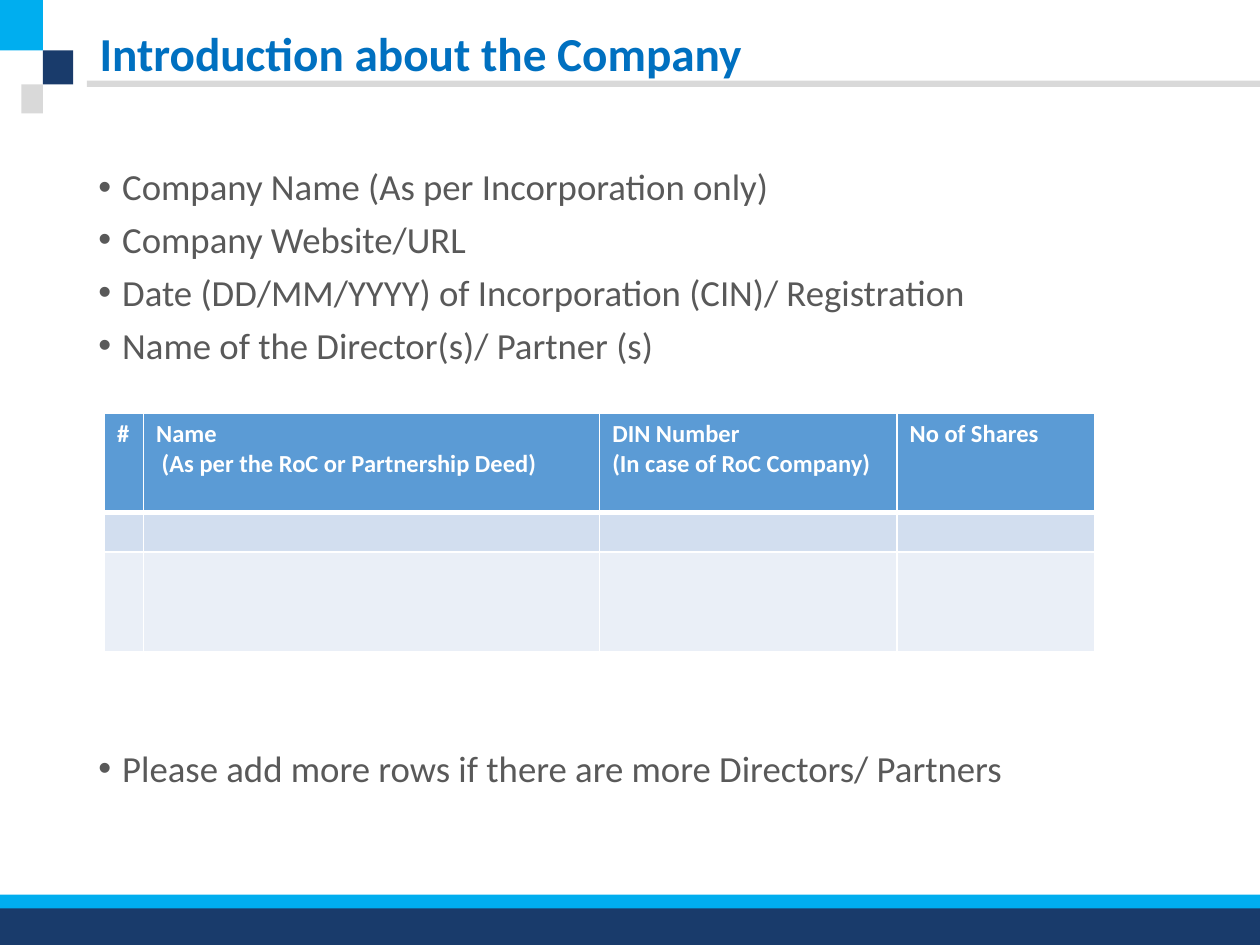
"""Build the company introduction slide with its bullets and directors table."""
from pptx import Presentation, util as u
from pptx.dml.color import RGBColor
from pptx.enum import shapes, text
from pptx.oxml import parse_xml
from pptx.oxml.ns import nsdecls

CYAN, NAVY, GREY = "00AEEF", "193B6B", "D9D9D9"
BLOCKS = [
    (0, 0, 0.34, 0.4, CYAN),
    (0.34, 0.4, 0.24, 0.27, NAVY),
    (0, 7.1, 10, 0.4, CYAN),
    (0.69, 0.64, 9.31, 0.05, GREY),
    (0, 7.21, 10, 0.29, NAVY),
    (0.17, 0.67, 0.17, 0.23, GREY),
]
TITLE = "Introduction about the Company"
BULLETS = [
    ("Company Name (As per Incorporation only)", 7.5),
    ("Company Website/URL", 7.5),
    ("Date (DD/MM/YYYY) of Incorporation (CIN)/ Registration", 7.5),
    ("Name of the Director(s)/ Partner (s)", 7.5),
    ("Please add more rows if there are more Directors/ Partners", 219),
]
HEADERS = [
    ["#"],
    ["Name", " (As per the RoC or Partnership Deed)"],
    ["DIN Number", "(In case of RoC Company)"],
    ["No of Shares"],
]
COLUMNS = [0.31, 3.62, 2.36, 1.57]
ROWS = [(0.79, "5B9BD5", HEADERS), (0.31, "D2DEEF", [[""]] * 4), (0.79, "EAEFF7", [[""]] * 4)]


def paint(fill, color):
    fill.solid()
    fill.fore_color.rgb = RGBColor.from_string(color)


def write(frame, lines, size, color, bold=False, spacing=None):
    for index, line in enumerate(lines):
        para = frame.paragraphs[0] if index == 0 else frame.add_paragraph()
        para.alignment = text.PP_ALIGN.LEFT
        para.line_spacing = spacing
        para.font.size = u.Pt(size)
        if line:
            span = para.add_run()
            span.text = line
            font = span.font
            font.name, font.size, font.bold = "Calibri", u.Pt(size), bold
            font.color.rgb = RGBColor.from_string(color)
        else:
            para._p.get_or_add_endParaRPr().set("sz", str(size * 100))


def place(holder, left, top, width, height):
    holder.left, holder.top = u.Inches(left), u.Inches(top)
    holder.width, holder.height = u.Inches(width), u.Inches(height)
    holder.text_frame.auto_size = text.MSO_AUTO_SIZE.NONE
    holder.text_frame.word_wrap = True


def border(cell, widths):
    props = cell._tc.get_or_add_tcPr()
    for index, (side, width) in enumerate(widths.items()):
        props.insert(index, parse_xml(
            f'<a:{side} {nsdecls("a")} w="{u.Pt(width)}"><a:solidFill>'
            f'<a:srgbClr val="FFFFFF"/></a:solidFill></a:{side}>'))


deck = Presentation()
deck.slide_width, deck.slide_height = u.Inches(10), u.Inches(7.5)
page = deck.slides.add_slide(deck.slide_layouts[1])
title, body = page.placeholders[0], page.placeholders[1]

for index, (*frame, color) in enumerate(BLOCKS):
    block = page.shapes.add_shape(shapes.MSO_SHAPE.RECTANGLE, *map(u.Inches, frame))
    block.shadow.inherit = False
    paint(block.fill, color)
    block.line.fill.background()
    page.shapes._spTree.insert(2 + index, block._element)

place(title, 0.69, 0, 8.62, 0.89)
title.text_frame.vertical_anchor = text.MSO_ANCHOR.MIDDLE
write(title.text_frame, [TITLE], 27, "0070C0", bold=True, spacing=0.9)

place(body, 0.68, 1.29, 8.81, 5.54)
write(body.text_frame, [line for line, _ in BULLETS], 21, "595959", spacing=0.9)
for para, (_, gap) in zip(body.text_frame.paragraphs, BULLETS):
    para.space_before = u.Pt(gap)
    props = para._p.get_or_add_pPr()
    props.set("marL", str(u.Inches(0.19)))
    props.set("indent", str(u.Inches(-0.19)))
    props.append(parse_xml(f'<a:buFont {nsdecls("a")} typeface="Arial"/>'))
    props.append(parse_xml(f'<a:buChar {nsdecls("a")} char="•"/>'))
    for default in props.findall("{*}defRPr"):
        props.append(default)

table = page.shapes.add_table(
    len(ROWS), len(COLUMNS), u.Inches(0.83), u.Inches(3.28),
    u.Inches(sum(COLUMNS)), u.Inches(sum(row[0] for row in ROWS))).table
for column, width in zip(table.columns, COLUMNS):
    column.width = u.Inches(width)
for r, (height, color, cells) in enumerate(ROWS):
    table.rows[r].height = u.Inches(height)
    for c, lines in enumerate(cells):
        cell = table.cell(r, c)
        paint(cell.fill, color)
        write(cell.text_frame, lines, 12 if r else 14, "FFFFFF", bold=r == 0)
        border(cell, {"lnL": 1, "lnR": 1, "lnT": 3 if r == 1 else 1, "lnB": 1 if r else 3})

deck.save("out.pptx")
